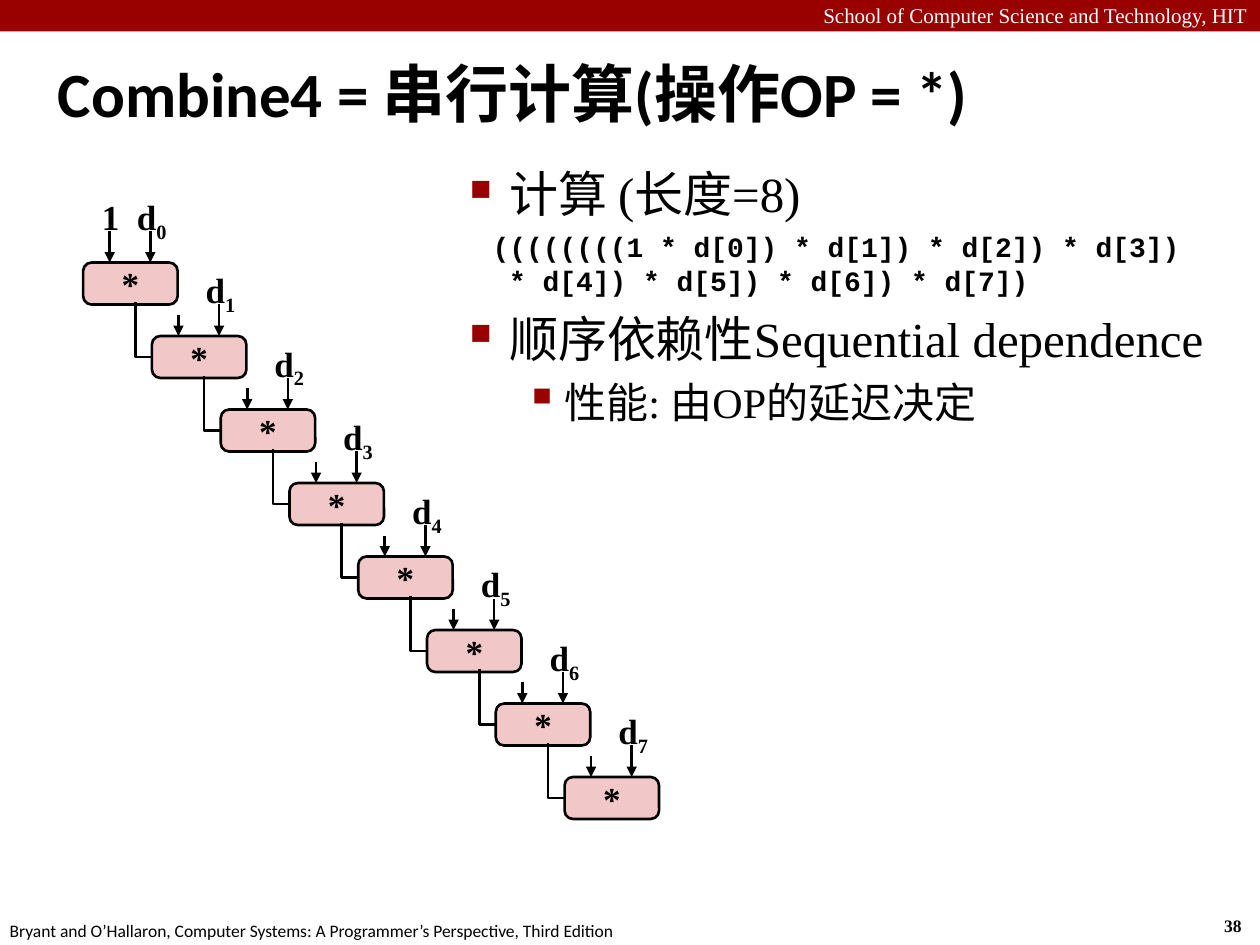
"""Builds the slide on Combine4 as a serial chain of multiplications."""
from copy import deepcopy

from lxml import etree
from pptx import Presentation
from pptx.dml.color import RGBColor
from pptx.enum.shapes import MSO_CONNECTOR, MSO_SHAPE
from pptx.enum.text import MSO_ANCHOR, PP_ALIGN
from pptx.oxml.ns import qn
from pptx.util import Pt

LINE = MSO_CONNECTOR.STRAIGHT
RECTANGLE, ROUNDED = MSO_SHAPE.RECTANGLE, MSO_SHAPE.ROUNDED_RECTANGLE
LEFT, CENTER, RIGHT = PP_ALIGN.LEFT, PP_ALIGN.CENTER, PP_ALIGN.RIGHT
TOP, MIDDLE = MSO_ANCHOR.TOP, MSO_ANCHOR.MIDDLE
RED = RGBColor(0x99, 0x00, 0x00)
PINK = RGBColor(0xF1, 0xC7, 0xC7)
BLACK = RGBColor(0x00, 0x00, 0x00)
WHITE = RGBColor(0xFF, 0xFF, 0xFF)

SERIF = {"name": "Times New Roman", "size": Pt(20), "bold": True}
NARROW = {"margin_left": Pt(3.6), "margin_right": Pt(3.6)}

deck = Presentation()
deck.slide_width, deck.slide_height = Pt(720), Pt(540)
page = deck.slides.add_slide(deck.slide_layouts[6])


def add_span(para, text, font_format, color=BLACK):
    span = para.add_run()
    span.text = text
    for name, value in font_format.items():
        setattr(span.font, name, value)
    span.font.color.rgb = color
    return span


def add_box(left, top, width, height, frame_format):
    box = page.shapes.add_textbox(Pt(left), Pt(top), Pt(width), Pt(height))
    for name, value in frame_format.items():
        setattr(box.text_frame, name, value)
    return box.text_frame


banner = page.shapes.add_shape(RECTANGLE, 0, 0, Pt(720), Pt(18))
banner.shadow.inherit = False
banner.fill.solid()
banner.fill.fore_color.rgb = RED
banner.line.fill.background()

single_lines = [
    ((0, -2, 720, 21.6), "School of Computer Science and Technology, HIT",
     {"name": "Times New Roman", "size": Pt(12)}, WHITE, RIGHT, True, TOP),
    ((692.4, 519.2, 27, 19.4), "38",
     {"name": "Times New Roman", "size": Pt(10), "bold": True}, BLACK, LEFT, False, TOP),
    ((-1.5, 522, 366, 19.4),
     "Bryant and O’Hallaron, Computer Systems: A Programmer’s Perspective, Third Edition",
     {"name": "Calibri", "size": Pt(10)}, BLACK, LEFT, False, TOP),
    ((26, 22.3, 682.6, 61.2), "Combine4 = 串行计算(操作OP = *)",
     {"name": "Calibri", "size": Pt(36), "bold": True}, BLACK, LEFT, True, MIDDLE),
]
for place, text, font_format, color, alignment, wraps, anchor in single_lines:
    frame = add_box(*place, {"word_wrap": wraps, "vertical_anchor": anchor})
    frame.paragraphs[0].alignment = alignment
    add_span(frame.paragraphs[0], text, font_format, color)

body_lines = [
    (["计算 (长度=8)"], {"name": "Times New Roman", "size": Pt(28)}, 0, 22.5, -22.5, 0, "■", 60),
    (["((((((((1 * d[0]) * d[1]) * d[2]) * d[3])", "* d[4]) * d[5]) * d[6]) * d[7])"],
     {"name": "Courier New", "size": Pt(16), "bold": True}, 1, 22.5, -9.5, 4, None, None),
    (["顺序依赖性Sequential dependence"],
     {"name": "Times New Roman", "size": Pt(28)}, 0, 22.5, -22.5, 6.5, "■", 60),
    (["性能: 由OP的延迟决定"],
     {"name": "Times New Roman", "size": Pt(24)}, 1, 54, -22.5, 5.5, "▪", 110),
]
body = add_box(261.4, 90, 446.4, 180, {"word_wrap": True})
for number, (lines, font_format, level, margin, indent, space, bullet, percent) in enumerate(body_lines):
    para = body.add_paragraph() if number else body.paragraphs[0]
    para.level = level
    para.space_before = Pt(space)
    properties = para._p.get_or_add_pPr()
    properties.set("marL", str(Pt(margin)))
    properties.set("indent", str(Pt(indent)))
    if bullet:
        bullet_color = etree.SubElement(properties, qn("a:buClr"))
        etree.SubElement(bullet_color, qn("a:srgbClr"), val=str(RED))
        etree.SubElement(properties, qn("a:buSzPct"), val=str(percent * 1000))
        etree.SubElement(properties, qn("a:buChar"), char=bullet)
    else:
        etree.SubElement(properties, qn("a:buNone"))
    for line_number, text in enumerate(lines):
        if line_number:
            para.add_line_break()
        span = add_span(para, text, font_format)
    for line_break in para._p.findall(qn("a:br")):
        line_break.append(deepcopy(span._r.rPr))

for step in range(8):
    left, top = 47.5 + 39.3 * step, 150 + 42 * step

    operation = page.shapes.add_shape(ROUNDED, Pt(left), Pt(top), Pt(54), Pt(24))
    operation.adjustments[0] = 0.2
    operation.shadow.inherit = False
    operation.fill.solid()
    operation.fill.fore_color.rgb = PINK
    operation.line.color.rgb = BLACK
    operation.line.width = Pt(1.5)
    operation.text_frame.word_wrap = False
    operation.text_frame.vertical_anchor = MIDDLE
    operation.text_frame.paragraphs[0].alignment = CENTER
    add_span(operation.text_frame.paragraphs[0], "*", SERIF)

    for offset, length in ((15.2, 12 if step else 18), (38.4, 18)):
        arrow = page.shapes.add_connector(
            LINE, Pt(left + offset), Pt(top - length), Pt(left + offset), Pt(top))
        arrow.line.color.rgb = BLACK
        arrow.line.width = Pt(1.5)
        etree.SubElement(arrow.line._get_or_add_ln(), qn("a:tailEnd"), type="triangle")
        etree.SubElement(arrow._element.spPr, qn("a:effectLst"))

    if step:
        outline = page.shapes.build_freeform(Pt(left - 9.4), Pt(top - 19.4))
        outline.add_line_segments(
            [(Pt(left - 9.4), Pt(top + 12)), (Pt(left), Pt(top + 12))], close=False)
        elbow = outline.convert_to_shape()
        elbow.shadow.inherit = False
        elbow.fill.background()
        elbow.line.color.rgb = BLACK
        elbow.line.width = Pt(1.5)

    operands = [("d", str(step), 23, 32.4)]
    if not step:
        operands.insert(0, ("1", "", 4.3, 23))
    for text, subscript, offset, width in operands:
        frame = add_box(left + offset, top - 42, width, 31.5, {"word_wrap": True, **NARROW})
        para = frame.paragraphs[0]
        para.alignment = CENTER
        add_span(para, text, SERIF)
        if subscript:
            span = add_span(para, subscript, SERIF)
            span._r.get_or_add_rPr().set("baseline", "-25000")

deck.save("out.pptx")
